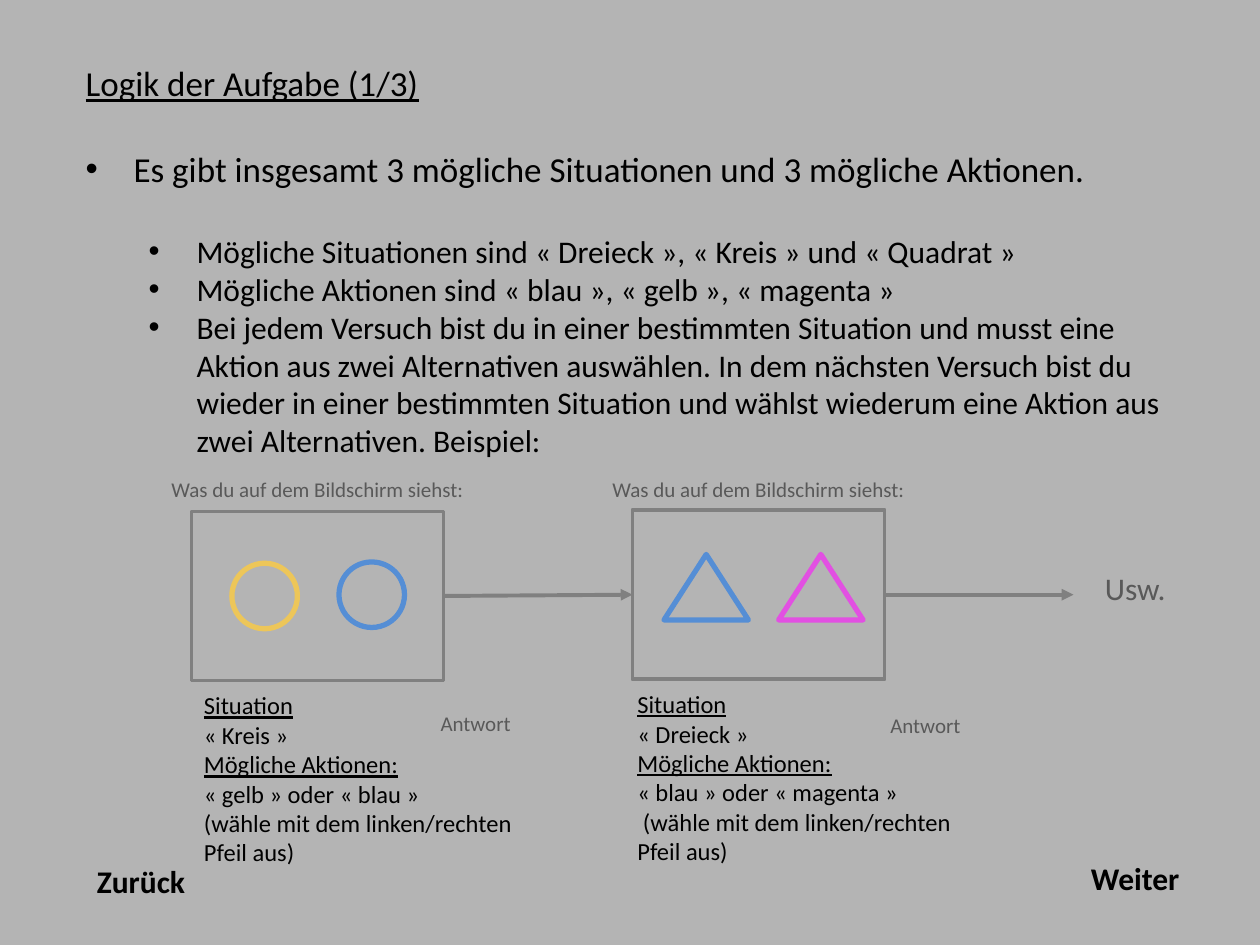
from lxml import etree
from pptx import Presentation
from pptx.dml.color import RGBColor
from pptx.enum.shapes import MSO_CONNECTOR, MSO_SHAPE
from pptx.enum.text import MSO_ANCHOR, MSO_AUTO_SIZE, PP_ALIGN
from pptx.oxml.ns import qn
from pptx.util import Inches, Pt

FONT = "Calibri"
COLORS = {
    "background": "B4B4B4",
    "text": "000000",
    "muted": "595959",
    "line": "808080",
    "frame": "404040",
    "yellow": "EDC659",
    "blue": "558ED5",
    "magenta": "E250E2",
}
LEFT, CENTER = PP_ALIGN.LEFT, PP_ALIGN.CENTER
CIRCLE, TRIANGLE = MSO_SHAPE.OVAL, MSO_SHAPE.ISOSCELES_TRIANGLE
FRAME_WIDTH, FRAME_HEIGHT = 2, 1.34
ARROW_LENGTH = 1.5

BULLETS = [
    (0, "Es gibt insgesamt 3 mögliche Situationen und 3 mögliche Aktionen."),
    (1, "Mögliche Situationen sind « Dreieck », « Kreis » und « Quadrat »"),
    (1, "Mögliche Aktionen sind « blau », « gelb », « magenta »"),
    (1, "Bei jedem Versuch bist du in einer bestimmten Situation und musst eine "
        "Aktion aus zwei Alternativen auswählen. In dem nächsten Versuch bist du "
        "wieder in einer bestimmten Situation und wählst wiederum eine Aktion aus "
        "zwei Alternativen. Beispiel:"),
]


def color(name):
    return RGBColor.from_string(COLORS[name])


def place(shape, left, top, width, height):
    shape.left, shape.top = Inches(left), Inches(top)
    shape.width, shape.height = Inches(width), Inches(height)


def format_paragraph(paragraph, size, color_name="text", bold=False,
                     underline=False, align=LEFT):
    paragraph.alignment = align
    font = paragraph.font
    font.name, font.size, font.bold = FONT, Pt(size), bold
    font.underline = underline
    font.color.rgb = color(color_name)


def set_bullet(paragraph, indent):
    properties = paragraph._p.get_or_add_pPr()
    properties.set("marL", str(Inches(indent)))
    properties.set("indent", str(-Inches(0.38)))
    etree.SubElement(properties, qn("a:buFont")).set("typeface", "Arial")
    etree.SubElement(properties, qn("a:buChar")).set("char", "•")


def fill_title(title):
    place(title, 0.58, 0.44, 8.83, 0.44)
    frame = title.text_frame
    frame.text = "Logik der Aufgabe (1/3)"
    frame.vertical_anchor = MSO_ANCHOR.TOP
    frame.auto_size = MSO_AUTO_SIZE.NONE
    format_paragraph(frame.paragraphs[0], 20, underline=True)


def fill_body(body):
    place(body, 0.58, 1.12, 8.83, 2.6)
    frame = body.text_frame
    frame.auto_size = MSO_AUTO_SIZE.NONE
    frame.text = "\n".join(text for _, text in BULLETS)
    for paragraph, (level, _) in zip(frame.paragraphs, BULLETS):
        paragraph.level = level
        paragraph.space_before = Pt(0)
        set_bullet(paragraph, 0.38 + 0.5 * level)
        format_paragraph(paragraph, 18 if level else 20)
    frame.paragraphs[1].space_before = Pt(24.4)


def add_text(slide, lines, left, top, width, height, size,
             underlined=(), **style):
    """Add a text box with one paragraph per line; underlined holds line numbers."""
    box = slide.shapes.add_textbox(Inches(left), Inches(top),
                                   Inches(width), Inches(height))
    frame = box.text_frame
    frame.word_wrap = False
    frame.auto_size = MSO_AUTO_SIZE.SHAPE_TO_FIT_TEXT
    frame.text = "\n".join(lines)
    for number, paragraph in enumerate(frame.paragraphs):
        format_paragraph(paragraph, size, underline=number in underlined, **style)


def add_outline(slide, kind, left, top, width, height, line_color, line_width):
    shape = slide.shapes.add_shape(kind, Inches(left), Inches(top),
                                   Inches(width), Inches(height))
    shape.shadow.inherit = False
    shape.fill.background()
    shape.line.color.rgb = color(line_color)
    shape.line.width = Pt(line_width)
    return shape


def add_screen(slide, left, top):
    screen = add_outline(slide, MSO_SHAPE.FRAME, left, top,
                         FRAME_WIDTH, FRAME_HEIGHT, "line", 2)
    screen.adjustments[0] = 0
    screen.fill.solid()
    screen.fill.fore_color.rgb = color("frame")


def add_arrow(slide, left, start_y, end_y):
    arrow = slide.shapes.add_connector(
        MSO_CONNECTOR.STRAIGHT, Inches(left), Inches(start_y),
        Inches(left + ARROW_LENGTH), Inches(end_y))
    arrow.line.color.rgb = color("line")
    arrow.line.width = Pt(2.25)
    etree.SubElement(arrow.line._get_or_add_ln(), qn("a:tailEnd")).set("type", "triangle")
    etree.SubElement(arrow._element.spPr, qn("a:effectLst"))


def add_trial(slide, left, top, arrow_start_y, symbols):
    """Add a screen with its caption, its two symbols and the arrow leaving it."""
    add_text(slide, ["Was du auf dem Bildschirm siehst:"], left - 0.27, 3.73,
             2.54, 0.3, 12, color_name="muted", align=CENTER)
    for kind, x, y, width, line_color in symbols:
        add_outline(slide, kind, x, y, width, 0.52, line_color, 3)
    add_screen(slide, left, top)
    add_arrow(slide, left + FRAME_WIDTH, arrow_start_y, 4.72)


def add_explanation(slide, left, top, width, situation, actions, hint):
    lines = ["Situation", situation, "Mögliche Aktionen:", actions,
             hint, "Pfeil aus)"]
    add_text(slide, lines, left, top, width, 1.51, 14, underlined=(0, 2))


def main():
    presentation = Presentation()
    presentation.slide_width, presentation.slide_height = Inches(10), Inches(7.5)
    slide = presentation.slides.add_slide(presentation.slide_layouts[1])
    slide.background.fill.solid()
    slide.background.fill.fore_color.rgb = color("background")

    fill_title(slide.shapes.title)
    fill_body(slide.placeholders[1])

    add_trial(slide, 1.52, 4.06, 4.73, [(CIRCLE, 1.84, 4.47, 0.52, "yellow"),
                                        (CIRCLE, 2.69, 4.46, 0.52, "blue")])
    add_trial(slide, 5.02, 4.05, 4.72, [(TRIANGLE, 5.27, 4.4, 0.67, "blue"),
                                        (TRIANGLE, 6.18, 4.4, 0.67, "magenta")])
    add_explanation(slide, 1.52, 5.43, 2.67, "« Kreis »",
                    "« gelb » oder « blau »", "(wähle mit dem linken/rechten")
    add_explanation(slide, 4.96, 5.42, 2.71, "« Dreieck »",
                    "« blau » oder « magenta »", " (wähle mit dem linken/rechten")

    for left, top in [(3.39, 5.59), (6.96, 5.61)]:
        add_text(slide, ["Antwort"], left, top, 0.77, 0.3, 12,
                 color_name="muted", align=CENTER)
    add_text(slide, ["Usw."], 8.67, 4.47, 0.69, 0.4, 18, color_name="muted")
    add_text(slide, ["Zurück"], 0.67, 6.79, 0.91, 0.4, 18, bold=True)
    add_text(slide, ["Weiter"], 8.56, 6.77, 0.91, 0.4, 18, bold=True)

    presentation.save("out.pptx")


if __name__ == "__main__":
    main()
